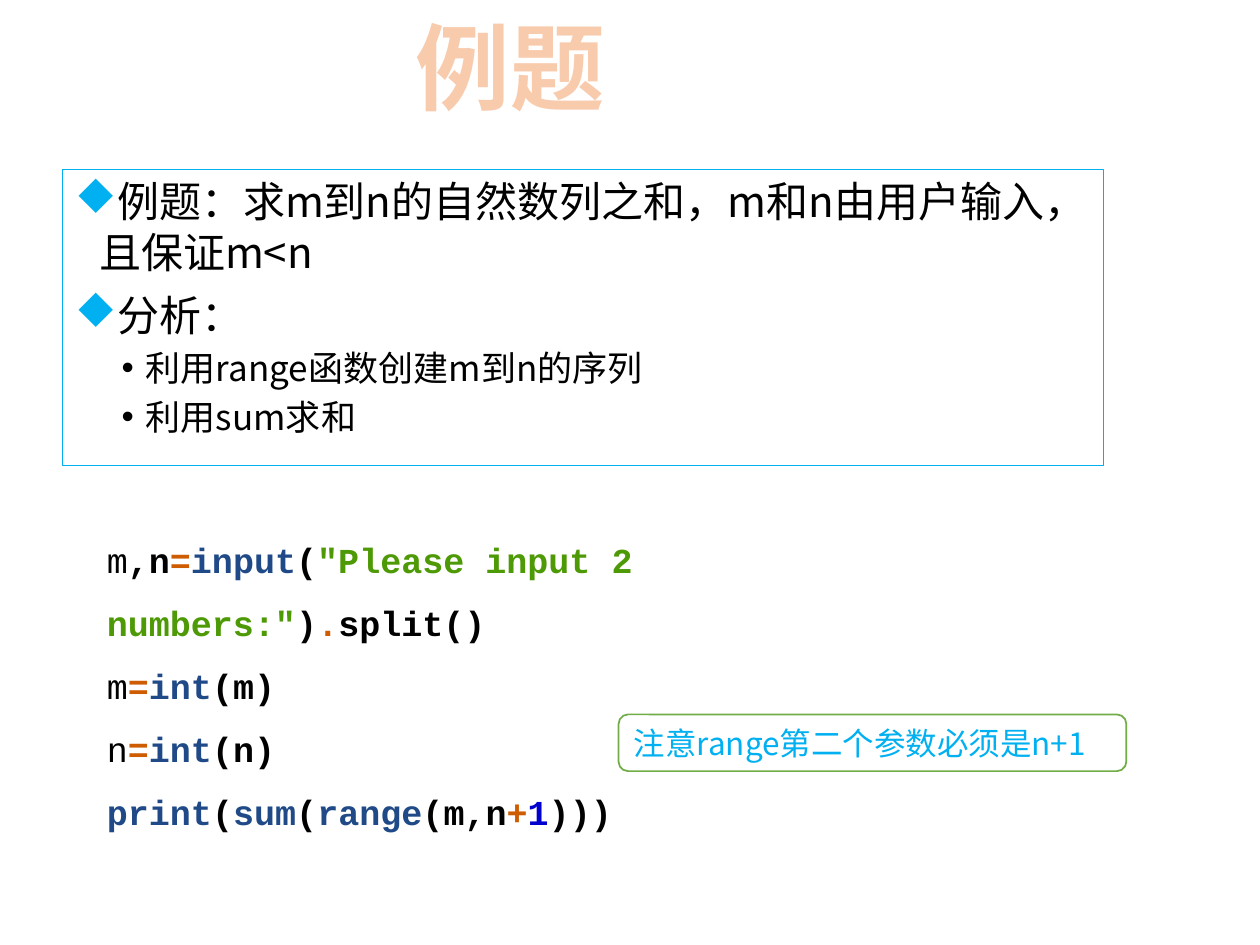
from lxml.etree import SubElement
from pptx import Presentation
from pptx.dml.color import RGBColor
from pptx.enum.shapes import MSO_SHAPE
from pptx.enum.text import MSO_ANCHOR, MSO_AUTO_SIZE, PP_ALIGN
from pptx.oxml import parse_xml
from pptx.oxml.ns import nsdecls, qn
from pptx.util import Emu, Inches, Pt

BLACK, CYAN = "000000", "00B0F0"
OPERATOR, BUILTIN, STRING, NUMBER = "CE5C00", "204A87", "4E9A06", "0000CF"

BULLETS = [
    (0, "例题：求m到n的自然数列之和，m和n由用户输入，且保证m<n"),
    (0, "分析："),
    (1, "利用range函数创建m到n的序列"),
    (1, "利用sum求和"),
]
CODE = [
    [("m", BLACK, False), (",n", BLACK), ("=", OPERATOR), ("input", BUILTIN), ("(", BLACK),
     ('"Please input 2 numbers:"', STRING), (")", BLACK), (".", OPERATOR), ("split()", BLACK)],
    *[[(name, BLACK, False), ("=", OPERATOR), ("int", BUILTIN), (f"({name})", BLACK)]
      for name in "mn"],
    [("print", BUILTIN), ("(", BLACK), ("sum", BUILTIN), ("(", BLACK), ("range", BUILTIN),
     ("(m,n", BLACK), ("+", OPERATOR), ("1", NUMBER), (")))", BLACK)],
]


def rgb(value):
    return RGBColor.from_string(value)


class Deck:
    """Holds the style and the current slide, placed on a 100 by 75 grid."""

    sans, mono = "Noto Sans CJK SC", "Courier New"
    levels = [(24, 0.19, 7.5, "Wingdings", "u", CYAN), (20, 0.56, 3.8, "Arial", "•", BLACK)]

    def __init__(self, prs):
        self.unit = prs.slide_width / 100
        self.s = prs.slides.add_slide(prs.slide_layouts[1])

    def box(self, *cells):
        return [Emu(round(c * self.unit)) for c in cells]

    def place(self, sp, *cells):
        sp.left, sp.top, sp.width, sp.height = self.box(*cells)
        return sp.text_frame

    def style(self, r, size, color, font, bold=False):
        r.font.size, r.font.bold, r.font.name = Pt(size), bold, font
        r.font.color.rgb = rgb(color)
        SubElement(r.font._element, qn("a:ea"), typeface=font)

    def title(self, text, *cells):
        tf = self.place(self.s.shapes.title, *cells)
        tf.text = text
        tf.word_wrap, tf.auto_size = False, MSO_AUTO_SIZE.SHAPE_TO_FIT_TEXT
        tf.vertical_anchor = MSO_ANCHOR.TOP
        p = tf.paragraphs[0]
        p.alignment = PP_ALIGN.CENTER
        self.style(p.runs[0], 54, "F8CBAD", self.sans, True)
        p.runs[0].font._element.insert(0, parse_xml(
            f'<a:ln {nsdecls("a")} w="{Pt(1.75)}"><a:solidFill>'
            '<a:srgbClr val="ED7D31"/></a:solidFill></a:ln>'))

    def bullets(self, items, *cells):
        sp = self.s.placeholders[1]
        tf = self.place(sp, *cells)
        sp.line.color.rgb, sp.line.width = rgb(CYAN), Pt(0.75)
        tf.text = "\n".join(text for _, text in items)
        tf.auto_size = MSO_AUTO_SIZE.NONE
        for i, (p, (level, _)) in enumerate(zip(tf.paragraphs, items)):
            size, margin, before, font, char, color = self.levels[level]
            p.level, p.line_spacing = level, 1.0
            p.space_before = Pt(before if i else 0)
            pPr = p._p.get_or_add_pPr()
            pPr.set("marL", str(Inches(margin)))
            pPr.set("indent", str(Inches(-0.19)))
            SubElement(SubElement(pPr, qn("a:buClr")), qn("a:srgbClr"), val=color)
            SubElement(pPr, qn("a:buFont"), typeface=font)
            SubElement(pPr, qn("a:buChar"), char=char)
            self.style(p.runs[0], size, BLACK, self.sans)

    def code(self, lines, *cells):
        tf = self.s.shapes.add_textbox(*self.box(*cells)).text_frame
        tf.word_wrap, tf.auto_size = True, MSO_AUTO_SIZE.SHAPE_TO_FIT_TEXT
        for i, line in enumerate(lines):
            p = tf.add_paragraph() if i else tf.paragraphs[0]
            p.line_spacing = 1.5
            for text, color, *bold in line:
                r = p.add_run()
                r.text = text
                self.style(r, 20, color, self.mono, not bold)

    def callout(self, text, *cells):
        sp = self.s.shapes.add_shape(MSO_SHAPE.ROUNDED_RECTANGLE, *self.box(*cells))
        sp.shadow.inherit = False
        sp.fill.solid()
        sp.fill.fore_color.rgb = rgb("FFFFFF")
        sp.line.color.rgb, sp.line.width = rgb("70AD47"), Pt(1)
        tf = sp.text_frame
        tf.text = text
        tf.word_wrap, tf.auto_size = True, MSO_AUTO_SIZE.SHAPE_TO_FIT_TEXT
        tf.vertical_anchor = MSO_ANCHOR.MIDDLE
        p = tf.paragraphs[0]
        p.alignment = PP_ALIGN.LEFT
        self.style(p.runs[0], 18, CYAN, self.sans)


def main():
    prs = Presentation()
    prs.slide_width, prs.slide_height = Inches(10), Inches(7.5)
    deck = Deck(prs)
    deck.title("例题", 31.9, 0.2, 17.2, 10.1)
    deck.bullets(BULLETS, 4.96, 13.46, 82.6, 23.5)
    deck.code(CODE, 7.5, 40.6, 73.7, 20.7)
    deck.callout("注意range第二个参数必须是n+1", 49.1, 56.7, 40.3, 4.5)
    prs.save("out.pptx")


if __name__ == "__main__":
    main()
